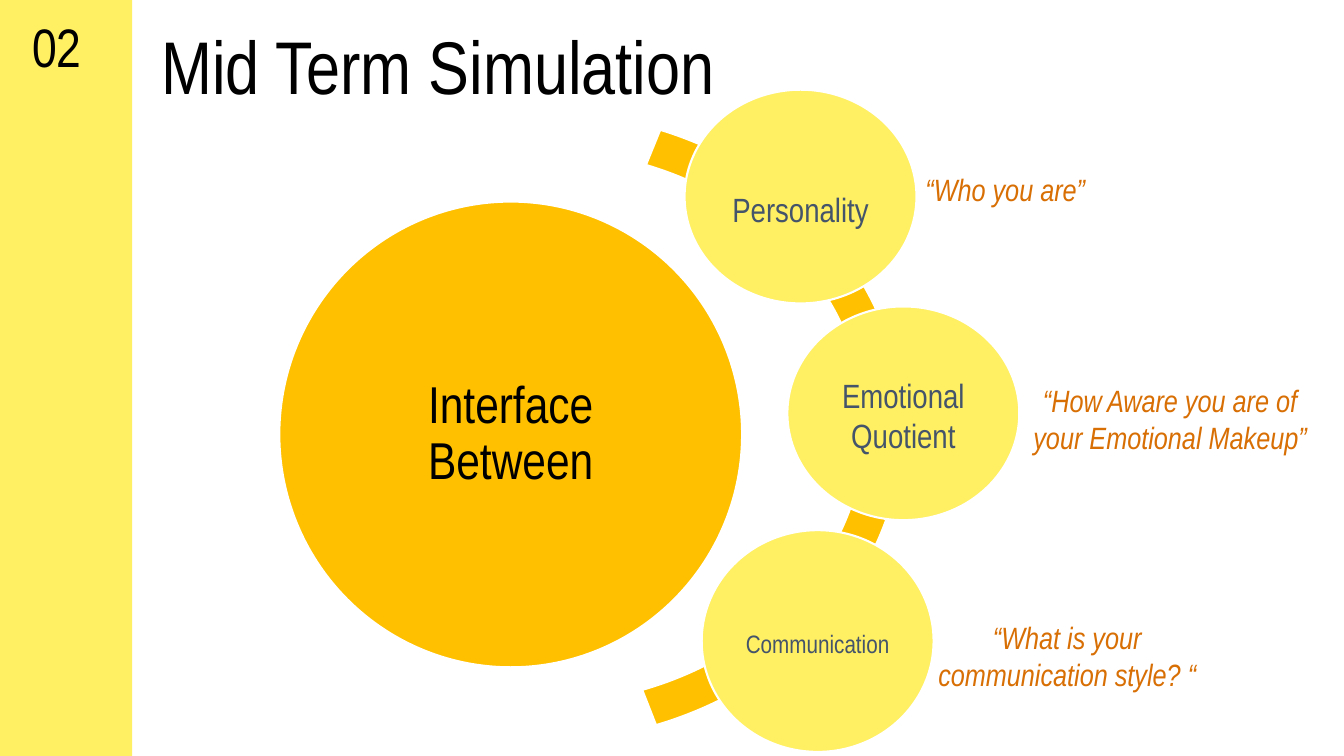
from dataclasses import dataclass

from pptx import Presentation
from pptx.dml.color import RGBColor
from pptx.enum.shapes import MSO_SHAPE
from pptx.enum.text import MSO_ANCHOR, MSO_AUTO_SIZE, PP_ALIGN
from pptx.util import Inches, Pt

OVAL, RECTANGLE, BLOCK_ARC = MSO_SHAPE.OVAL, MSO_SHAPE.RECTANGLE, MSO_SHAPE.BLOCK_ARC
LEFT, CENTER = PP_ALIGN.LEFT, PP_ALIGN.CENTER
TOP, MIDDLE = MSO_ANCHOR.TOP, MSO_ANCHOR.MIDDLE
NO_AUTOFIT = MSO_AUTO_SIZE.NONE

FONT = "Arial Narrow"
YELLOW, AMBER, WHITE = "FFEF62", "FFC000", "FFFFFF"
BLACK, SLATE, ORANGE = "000000", "44546A", "D86F05"
TITLE_ONLY_LAYOUT = 5


@dataclass(frozen=True)
class Box:
    left: float
    top: float
    width: float
    height: float

    def lengths(self):
        return [Inches(v) for v in (self.left, self.top, self.width, self.height)]


@dataclass(frozen=True)
class TextStyle:
    size: float
    color: str
    align: PP_ALIGN = CENTER
    anchor: MSO_ANCHOR = TOP
    italic: bool = False
    spacing: float = 1.0


@dataclass(frozen=True)
class Topic:
    name: str
    size: float
    circle: Box
    top_inset: float
    quote: str
    quote_box: Box
    quote_align: PP_ALIGN = CENTER


TOPICS = [
    Topic("Personality", 24, Box(6.79, 0.89, 2.3, 2.12), 0.29,
          "“Who you are”", Box(9.08, 1.64, 1.84, 0.47), LEFT),
    Topic("Emotional Quotient", 24, Box(7.81, 3.04, 2.3, 2.12), 0.09,
          "“How Aware you are of your Emotional Makeup”", Box(10.1, 3.74, 3.01, 0.84)),
    Topic("Communication", 18, Box(6.96, 5.26, 2.3, 2.2), 0.09,
          "“What is your communication style? “", Box(9.08, 6.09, 3.01, 0.84)),
]


def rgb(value: str) -> RGBColor:
    return RGBColor.from_string(value)


def write(shape, text: str, style: TextStyle,
          insets: tuple[float, float, float] = (0.1, 0.05, 0.05)) -> None:
    side, top, bottom = insets
    frame = shape.text_frame
    frame.word_wrap = True
    frame.auto_size = NO_AUTOFIT
    frame.vertical_anchor = style.anchor
    frame.margin_left = frame.margin_right = Inches(side)
    frame.margin_top, frame.margin_bottom = Inches(top), Inches(bottom)
    paragraph = frame.paragraphs[0]
    paragraph.alignment = style.align
    paragraph.line_spacing = style.spacing
    run = paragraph.add_run()
    run.text = text
    run.font.name = FONT
    run.font.size = Pt(style.size)
    run.font.italic = style.italic
    run.font.color.rgb = rgb(style.color)


def add_filled(slide, preset: MSO_SHAPE, box: Box, fill: str, outline: str | None = WHITE):
    shape = slide.shapes.add_shape(preset, *box.lengths())
    shape.shadow.inherit = False
    shape.fill.solid()
    shape.fill.fore_color.rgb = rgb(fill)
    if outline:
        shape.line.color.rgb = rgb(outline)
        shape.line.width = Pt(1.5)
    else:
        shape.line.fill.background()
    return shape


def add_topic(slide, topic: Topic) -> None:
    circle = add_filled(slide, OVAL, topic.circle, YELLOW)
    write(circle, topic.name, TextStyle(topic.size, SLATE, anchor=MIDDLE),
          (0.05, topic.top_inset, 0.05))
    quote = slide.shapes.add_textbox(*topic.quote_box.lengths())
    write(quote, topic.quote, TextStyle(22, ORANGE, topic.quote_align, italic=True))


def main() -> None:
    deck = Presentation()
    deck.slide_width, deck.slide_height = Inches(13.33), Inches(7.5)
    slide = deck.slides.add_slide(deck.slide_layouts[TITLE_ONLY_LAYOUT])
    heading_insets = (0.13, 0.13, 0.13)

    title = slide.shapes.title
    title.left, title.top, title.width, title.height = Box(0.58, 0.07, 7.53, 0.97).lengths()
    write(title, "Mid Term Simulation", TextStyle(53.3, BLACK), heading_insets)

    add_filled(slide, RECTANGLE, Box(0, 0, 1.31, 7.5), YELLOW, None)
    section_number = slide.shapes.add_textbox(*Box(0.19, 0, 0.93, 0.73).lengths())
    write(section_number, "02", TextStyle(38.7, BLACK, LEFT), heading_insets)

    hub = add_filled(slide, OVAL, Box(2.77, 2, 4.59, 4.62), AMBER)
    write(hub, "Interface Between", TextStyle(37, BLACK, anchor=MIDDLE, spacing=0.9),
          (0.02, 0.05, 0.05))

    arc = add_filled(slide, BLOCK_ARC, Box(1.75, 1.11, 7.2, 6.25), AMBER)
    for index, value in enumerate((175.28, 41.19, 0.06)):
        arc.adjustments[index] = value

    for topic in TOPICS:
        add_topic(slide, topic)

    deck.save("out.pptx")


if __name__ == "__main__":
    main()
